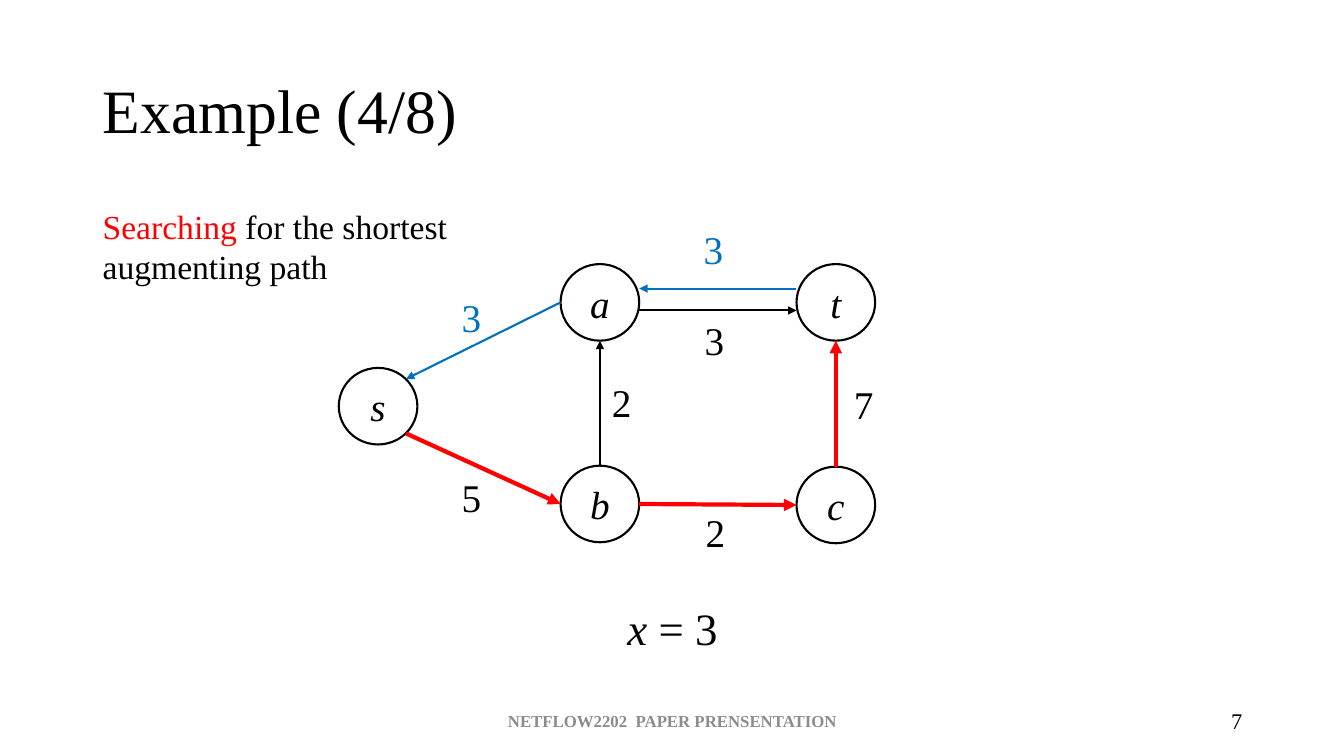
from pptx import Presentation
from pptx import util as u
from pptx.dml.color import RGBColor
from pptx.enum import shapes, text
from pptx.oxml.ns import qn
from lxml import etree

BLACK, RED, BLUE, GREY = "000000", "FF0000", "0070C0", "8C8C8C"
NODE_WIDTH, NODE_HEIGHT = 0.78, 0.76


def color(hex_value):
    """Turn a hex string into a colour."""
    return RGBColor.from_string(hex_value)


def add_text(paragraph, words, size=28, fill=BLACK, bold=False, italic=False):
    """Add one formatted run to a paragraph."""
    run = paragraph.add_run()
    run.text = words
    font = run.font
    font.name, font.size = "Times New Roman", u.Pt(size)
    font.bold, font.italic = bold, italic
    font.color.rgb = color(fill)


class GraphSlide:
    """Draw graph elements on one slide."""

    def __init__(self, slide):
        """Keep the slide and the node centres."""
        self.slide = slide
        self.centers = {}

    def text_box(self, left, top, width, height, runs, align=text.PP_ALIGN.LEFT,
                 anchor=text.MSO_ANCHOR.TOP, spacing=None):
        """Add a wrapped text box from (words, format) pairs."""
        shape = self.slide.shapes.add_textbox(*map(u.Inches, (left, top, width, height)))
        frame = shape.text_frame
        frame.word_wrap, frame.vertical_anchor = True, anchor
        paragraph = frame.paragraphs[0]
        paragraph.alignment = align
        if spacing:
            paragraph.line_spacing = spacing
        for words, style in runs:
            add_text(paragraph, words, **style)

    def node(self, name, x, y):
        """Add a circled node centred on x, y."""
        self.centers[name] = x, y
        shape = self.slide.shapes.add_shape(
            shapes.MSO_SHAPE.OVAL, u.Inches(x - NODE_WIDTH / 2), u.Inches(y - NODE_HEIGHT / 2),
            u.Inches(NODE_WIDTH), u.Inches(NODE_HEIGHT))
        shape.shadow.inherit = False
        shape.fill.background()
        shape.line.color.rgb, shape.line.width = color(BLACK), u.Pt(1.5)
        shape.text_frame.vertical_anchor = text.MSO_ANCHOR.MIDDLE
        paragraph = shape.text_frame.paragraphs[0]
        paragraph.alignment = text.PP_ALIGN.CENTER
        add_text(paragraph, name, italic=True)

    def site(self, name, across, down):
        """Find a point at fractions of the node's half size."""
        x, y = self.centers[name]
        return u.Inches(x + across * NODE_WIDTH / 2), u.Inches(y + down * NODE_HEIGHT / 2)

    def edge(self, start, start_site, end, end_site, fill=BLACK, width=1.5):
        """Add an arrow between two nodes."""
        connector = self.slide.shapes.add_connector(
            shapes.MSO_CONNECTOR.STRAIGHT, *self.site(start, *start_site),
            *self.site(end, *end_site))
        connector.line.color.rgb, connector.line.width = color(fill), u.Pt(width)
        line = connector.line._get_or_add_ln()
        etree.SubElement(line, qn("a:tailEnd"), type="triangle")
        etree.SubElement(connector._element.spPr, qn("a:effectLst"))

    def weight(self, words, left, top, fill=BLACK):
        """Add the number beside an edge."""
        self.text_box(left, top, 0.61, 0.57, [(words, {"fill": fill})])


def main():
    """Build and save the slide."""
    presentation = Presentation()
    presentation.slide_width, presentation.slide_height = u.Inches(13.33), u.Inches(7.5)
    graph = GraphSlide(presentation.slides.add_slide(presentation.slide_layouts[6]))
    middle = text.MSO_ANCHOR.MIDDLE
    center, right_align = text.PP_ALIGN.CENTER, text.PP_ALIGN.RIGHT

    graph.text_box(0.92, 0.4, 11.5, 1.45, [("Example (4/8)", {"size": 44})],
                   anchor=middle, spacing=0.9)
    graph.text_box(0.92, 1.99, 3.9, 0.91, [
        ("Searching", {"size": 24, "fill": RED}),
        (" for the shortest augmenting path", {"size": 24})])

    for name, x, y in [("s", 3.75, 4.03), ("a", 5.95, 3), ("t", 8.29, 3),
                       ("b", 5.95, 5), ("c", 8.29, 5.01)]:
        graph.node(name, x, y)

    top, bottom, left, right = (0, -1), (0, 1), (-1, 0), (1, 0)
    graph.edge("s", (0.71, 0.71), "b", left, RED, 3)
    graph.edge("b", right, "c", left, RED, 3)
    graph.edge("c", top, "t", bottom, RED, 3)
    graph.edge("b", top, "a", bottom)
    graph.edge("a", (1, 0.21), "t", (-1, 0.21))
    graph.edge("t", (-1, -0.36), "a", (1, -0.36), BLUE)
    graph.edge("a", left, "s", (0.71, -0.71), BLUE)

    for words, x, y, fill in [
            ("3", 4.48, 2.86, BLUE), ("3", 6.88, 2.19, BLUE), ("5", 4.48, 4.65, BLACK),
            ("2", 6.9, 4.99, BLACK), ("2", 5.97, 3.7, BLACK), ("3", 6.89, 3.09, BLACK),
            ("7", 8.37, 3.72, BLACK)]:
        graph.weight(words, x, y, fill)

    graph.text_box(5.79, 5.91, 1.76, 0.64, [
        ("x", {"size": 32, "italic": True}), (" = 3", {"size": 32})], align=center)
    graph.text_box(4.42, 6.95, 4.5, 0.4, [
        ("NETFLOW2202  PAPER PRENSENTATION", {"size": 12, "fill": GREY, "bold": True})],
        align=center, anchor=middle)
    graph.text_box(9.42, 6.95, 3, 0.4, [("7", {"size": 16})],
                   align=right_align, anchor=middle)
    presentation.save("out.pptx")


if __name__ == "__main__":
    main()
